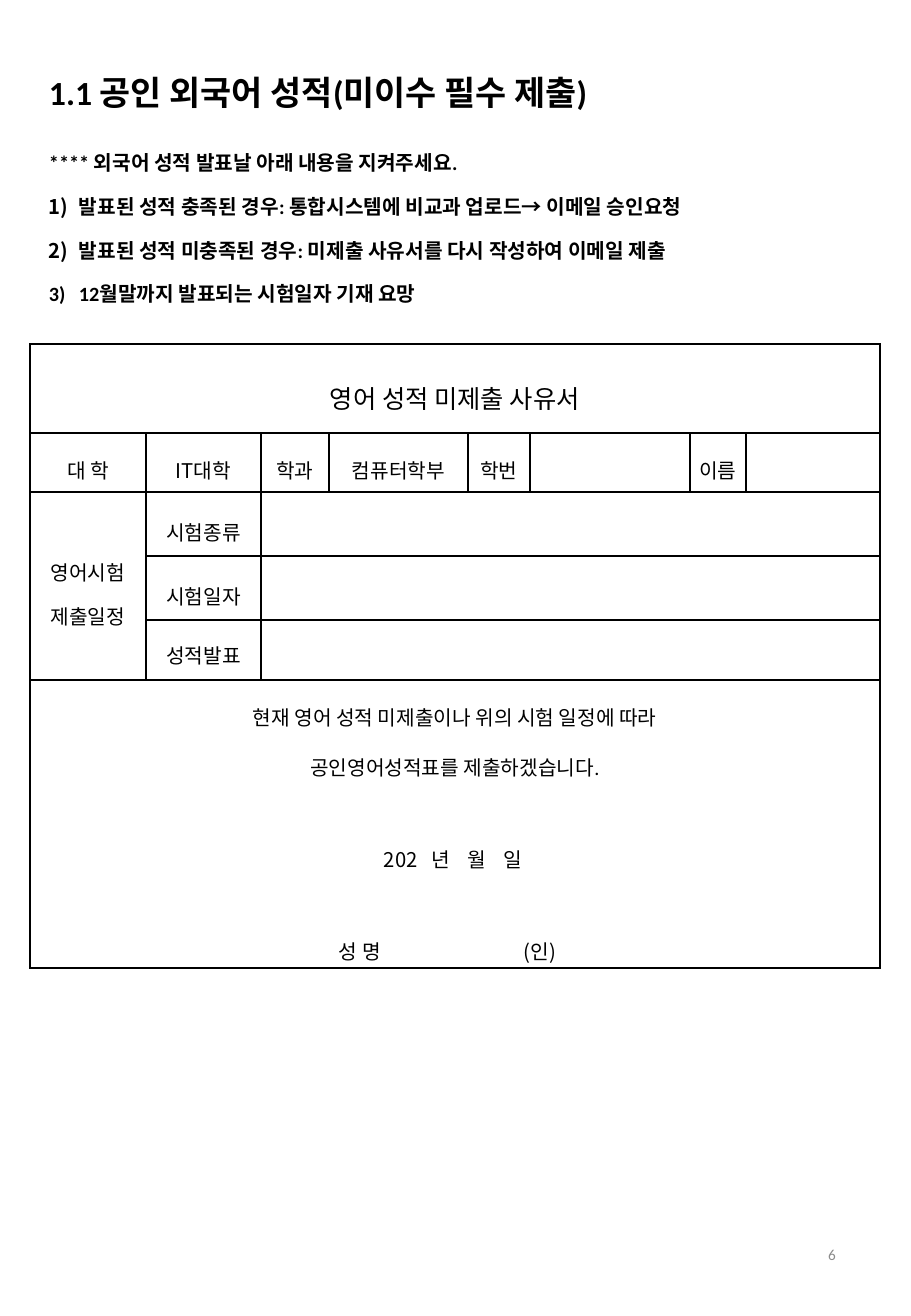
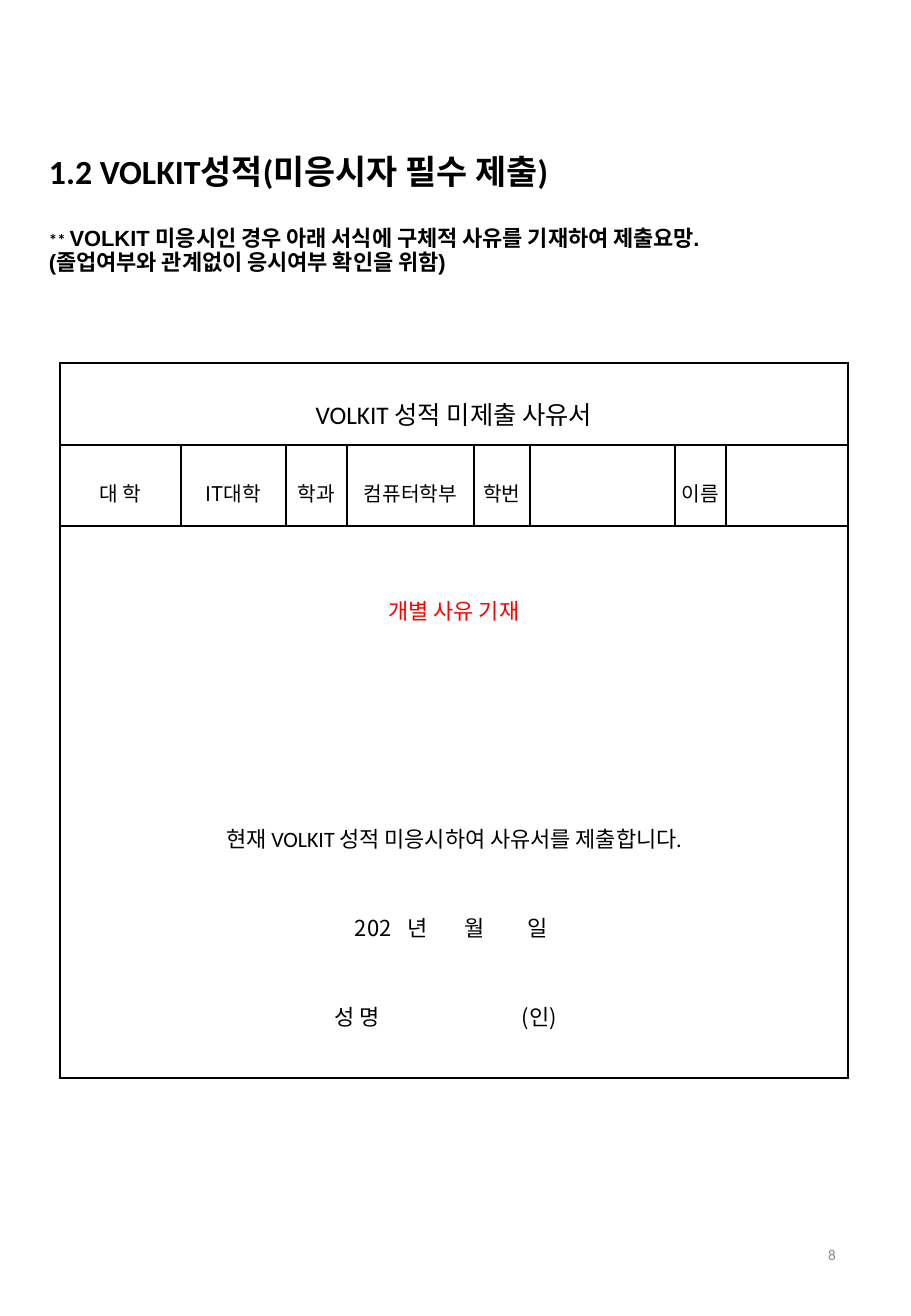
from dataclasses import dataclass
from lxml.etree import SubElement
from pptx import Presentation
from pptx.dml.color import RGBColor
from pptx.enum.text import MSO_ANCHOR, MSO_AUTO_SIZE, PP_ALIGN
from pptx.oxml import parse_xml
from pptx.oxml.ns import qn, nsdecls
from pptx.util import Pt

SCALE = 914400 / 121.5


@dataclass
class Theme:
    black: str = "000000"
    red: str = "FF0000"
    grey: str = "8C8C8C"
    latin: str = "Calibri"
    hangul: str = "Noto Sans CJK KR"
    arial: str = "Arial"
    title: int = 20
    head: int = 15
    text: int = 12
    large: int = 13
    small: int = 10
    page: int = 9
    line: float = 1.13


T = Theme()


@dataclass
class Line:
    text: str
    size: int = T.text
    font: str = T.latin
    color: str = T.black
    bold: bool = False
    space: float = 1.5
    before: int = 0
    after: int = 0
    align: PP_ALIGN = PP_ALIGN.CENTER
    tabs: tuple = ()
    number: bool = False
    mark: str = ""  # smaller lead-in before the text


def note(text, **more):
    more = {"after": 13, **more}
    return Line(text, bold=True, space=0.9, align=PP_ALIGN.LEFT, **more)


def body(text, **more):
    return Line(text, space=1.7, **more)


def blank(text, tabs, **more):
    return body(text, font=T.hangul, align=PP_ALIGN.LEFT, tabs=tabs, **more)


# Content
PERSON = ["대 학", "IT대학", "학과", "컴퓨터학부", "학번", "", "이름", ""]
DATE = "\t202\t년\t월\t일"
SIGN = "\t성 명\t(인)"
TIGHT = dict(size=T.large, font=T.arial, after=0)

FORMS = [
    dict(
        page="6",
        title="1.1 공인 외국어 성적(미이수 필수 제출)", title_y=65,
        notes=[
            note("**** 외국어 성적 발표날 아래 내용을 지켜주세요."),
            note("발표된 성적 충족된 경우: 통합시스템에 비교과 업로드→ 이메일 승인요청",
                 number=True),
            note("발표된 성적 미충족된 경우: 미제출 사유서를 다시 작성하여 이메일 제출",
                 number=True),
            note("12월말까지 발표되는 시험일자 기재 요망", number=True),
        ],
        notes_y=153, left=30, top=344,
        cols=[116, 115, 68, 139, 62, 160, 56, 134],
        rows=[89, 59, 64, 64, 60, 288],
        head="영어 성적 미제출 사유서",
        spans=[(2, 0, 4, 0), (2, 2, 2, 7), (3, 2, 3, 7), (4, 2, 4, 7)],
        cells={
            (2, 0): [Line("영어시험"), Line("제출일정")],
            (2, 1): [Line("시험종류")],
            (3, 1): [Line("시험일자")],
            (4, 1): [Line("성적발표", space=1.3)],
            (5, 0): [
                body("현재 영어 성적 미제출이나 위의 시험 일정에 따라"),
                body("공인영어성적표를 제출하겠습니다."),
                blank(DATE, (352, 400, 436, 472), before=25),
                blank(SIGN, (307, 492), before=25),
            ],
        },
    ),
    dict(
        page="8",
        title="1.2 VOLKIT성적(미응시자 필수 제출)", title_y=144,
        notes=[
            note("VOLKIT 미응시인 경우 아래 서식에 구체적 사유를 기재하여 제출요망.",
                 mark="** ", **TIGHT),
            note("(졸업여부와 관계없이 응시여부 확인을 위함)", **TIGHT),
        ],
        notes_y=228, left=60, top=363,
        cols=[121, 105, 61, 127, 56, 145, 51, 122],
        rows=[82, 81, 552],
        head="VOLKIT 성적 미제출 사유서",
        spans=[],
        cells={
            (2, 0): [
                body("개별 사유 기재", size=T.large, color=T.red),
                body("현재 VOLKIT 성적 미응시하여 사유서를 제출합니다.",
                     size=T.large, before=103),
                blank(DATE, (293, 346, 403, 466), size=T.large, before=21),
                blank(SIGN, (273, 460), size=T.large, before=21),
            ],
        },
    ),
]


def px(n):
    return round(n * SCALE)


# Text
def style(run, line, size, face):
    font = run.font
    font.size, font.bold, font.name = Pt(size), line.bold, face
    font.color.rgb = RGBColor.from_string(line.color)
    SubElement(run._r.get_or_add_rPr(), qn("a:ea"), typeface=T.hangul)


def write(frame, lines):
    for i, line in enumerate(lines):
        para = frame.add_paragraph() if i else frame.paragraphs[0]
        para.text = line.mark or line.text
        if line.mark:
            para.add_run().text = line.text
        para.alignment = line.align
        para.line_spacing = line.space
        para.space_before, para.space_after = Pt(line.before), Pt(line.after)
        for run in para.runs:
            lead = run.text == line.mark
            style(run, line, T.small if lead else line.size,
                  T.latin if lead else line.font)
        props = para._p.get_or_add_pPr()
        if line.number:
            props.set("marL", str(px(30)))
            props.set("indent", str(-px(30)))
            SubElement(props, qn("a:buAutoNum"), type="arabicParenR")
        if line.tabs:
            stops = SubElement(props, qn("a:tabLst"))
            for stop in line.tabs:
                SubElement(stops, qn("a:tab"), pos=str(px(stop)), algn="l")


def fit(frame, anchor):
    frame.word_wrap = True
    frame.auto_size = MSO_AUTO_SIZE.NONE
    frame.vertical_anchor = anchor
    frame.margin_left = frame.margin_right = px(12)
    frame.margin_top = frame.margin_bottom = 0


def add_text(slide, box, lines, anchor):
    frame = slide.shapes.add_textbox(*map(px, box)).text_frame
    fit(frame, anchor)
    write(frame, lines)


# Table
def border(cell):
    props = cell._tc.get_or_add_tcPr()
    for i, side in enumerate("LRTB"):
        props.insert(i, parse_xml(
            f'<a:ln{side} {nsdecls("a")} w="{Pt(T.line)}"><a:solidFill>'
            f'<a:srgbClr val="{T.black}"/></a:solidFill></a:ln{side}>'))


def add_form(slide, form):
    cols, rows = form["cols"], form["rows"]
    box = form["left"], form["top"], sum(cols), sum(rows)
    table = slide.shapes.add_table(len(rows), len(cols), *map(px, box)).table
    table.first_row = table.horz_banding = False
    for col, width in zip(table.columns, cols):
        col.width = px(width)
    for row, height in zip(table.rows, rows):
        row.height = px(height)
    for cell in table.iter_cells():
        cell.fill.background()
        cell.vertical_anchor = MSO_ANCHOR.MIDDLE
        cell.margin_left = cell.margin_right = px(2)
        cell.margin_top = cell.margin_bottom = px(2)
        border(cell)

    # Full-width first and last rows, then the inner spans
    last, end = len(rows) - 1, len(cols) - 1
    for r, c, r2, c2 in [(0, 0, 0, end), (last, 0, last, end)] + form["spans"]:
        table.cell(r, c).merge(table.cell(r2, c2))

    cells = {(0, 0): [Line(form["head"], size=T.head)], **form["cells"]}
    for c, text in enumerate(PERSON):
        if text:
            font = T.hangul if text.startswith("IT") else T.latin
            cells[1, c] = [Line(text, font=font)]
    for (r, c), lines in cells.items():
        write(table.cell(r, c).text_frame, lines)


# Slides
def add_page(deck, form):
    slide = deck.slides.add_slide(deck.slide_layouts[5])
    title = slide.shapes.title
    title.left, title.top, title.width, title.height = map(
        px, (37, form["title_y"], 812, 60))
    fit(title.text_frame, MSO_ANCHOR.MIDDLE)
    write(title.text_frame, [note(form["title"], size=T.title, after=0)])
    add_text(slide, (37, form["notes_y"], 812, 165), form["notes"],
             MSO_ANCHOR.TOP)
    add_form(slide, form)
    number = Line(form["page"], size=T.page, color=T.grey, space=1.0,
                  align=PP_ALIGN.RIGHT)
    add_text(slide, (643, 1219, 205, 70), [number], MSO_ANCHOR.MIDDLE)


def main():
    deck = Presentation()
    deck.slide_width, deck.slide_height = px(911), px(1316)
    for form in FORMS:
        add_page(deck, form)
    deck.save("out.pptx")


if __name__ == "__main__":
    main()
